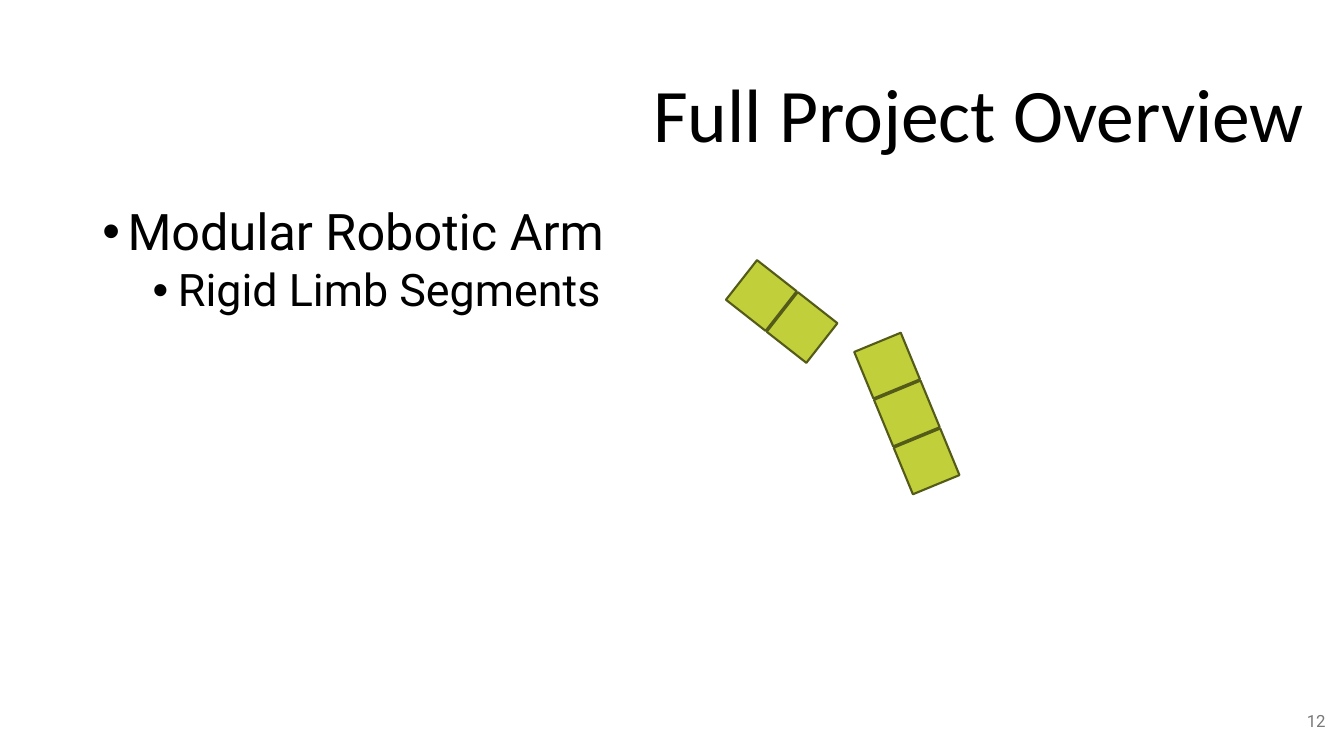
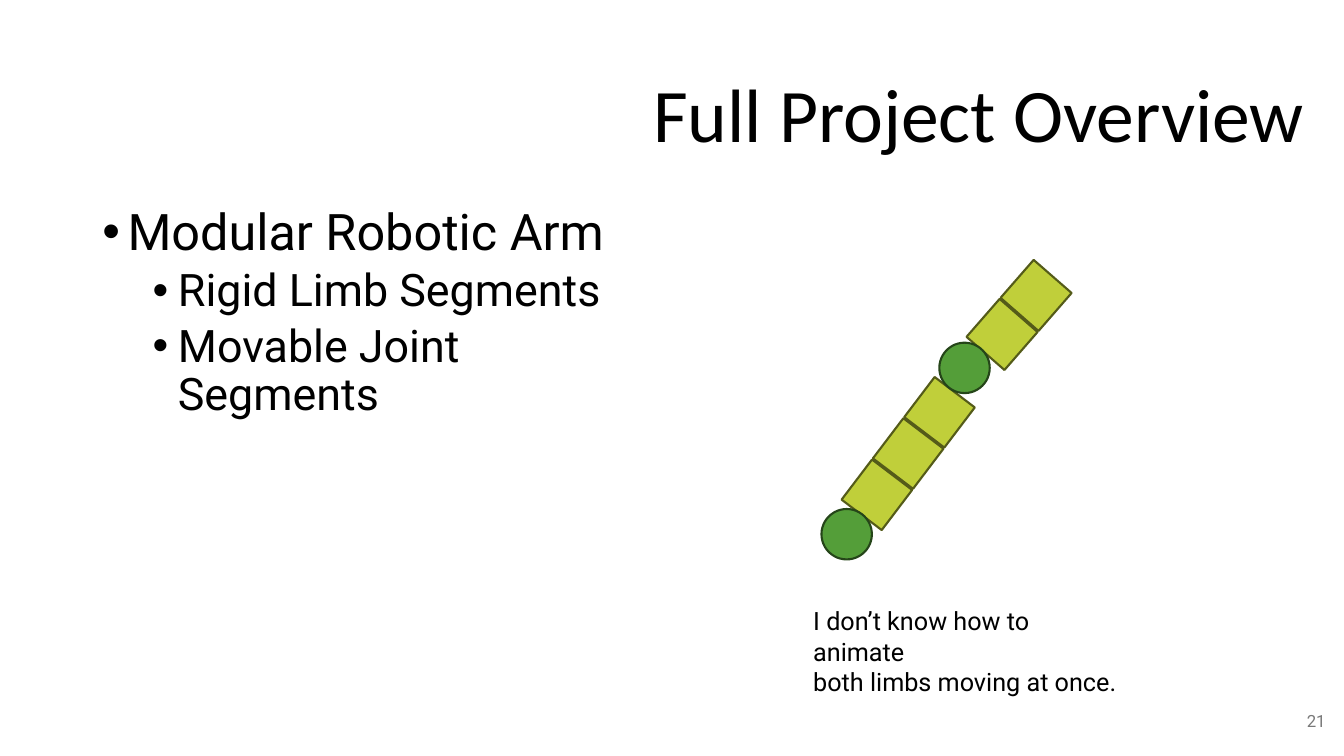
from math import cos, radians, sin

from lxml import etree
from pptx import Presentation
from pptx.dml.color import RGBColor
from pptx.enum.shapes import MSO_SHAPE
from pptx.enum.text import MSO_ANCHOR, PP_ALIGN
from pptx.oxml.ns import qn
from pptx.util import Pt

RECT, OVAL = MSO_SHAPE.RECTANGLE, MSO_SHAPE.OVAL
LEFT, RIGHT = PP_ALIGN.LEFT, PP_ALIGN.RIGHT
TOP, MIDDLE = MSO_ANCHOR.TOP, MSO_ANCHOR.MIDDLE

BLACK = RGBColor(0x00, 0x00, 0x00)
GRAY = RGBColor(0x79, 0x79, 0x79)
LIME = RGBColor(0xC0, 0xCF, 0x3A)
OLIVE = RGBColor(0x54, 0x5B, 0x19)
GREEN = RGBColor(0x54, 0x9E, 0x39)
DARK_GREEN = RGBColor(0x25, 0x45, 0x19)

TITLE = "Full Project Overview"
TITLE_BOX = (66, 32.4, 872.9, 104.4)
BODY_BOX = (66, 144, 408, 328.3)
NUMBER_BOX = (909.4, 500.4, 44.6, 28.8)
CAPTION_BOX = (573.8, 429.1, 233.3, 51.1)

# Per outline level: font size, left margin, space before
LEVELS = [(36, 18, 10), (32, 54, 5)]
HANGING = 18
SEGMENT = 36
PITCH = 37  # distance between segment centres along a limb

# bullets: (level, text); limbs: (centre x, centre y, angle, segments)
# joints: (centre x, centre y)
SLIDES = [
    dict(
        number="12",
        bullets=[(0, "Modular Robotic Arm"), (1, "Rigid Limb Segments")],
        limbs=[(647.8, 295.4, 337.6, 3), (558.4, 222.5, 308.1, 2)],
        joints=[],
        caption=[],
    ),
    dict(
        number="21",
        bullets=[(0, "Modular Robotic Arm"), (1, "Rigid Limb Segments"),
                 (1, "Movable Joint Segments")],
        limbs=[(648.7, 324, 37.2, 3), (727.9, 225, 41.1, 2)],
        joints=[(604.8, 381.6), (689, 262.8)],
        caption=["I don’t know how to animate", "both limbs moving at once."],
    ),
]


def add_bullet(p, margin):
    pPr = p._p.get_or_add_pPr()
    pPr.set("marL", str(Pt(margin)))
    pPr.set("indent", str(-Pt(HANGING)))
    etree.SubElement(pPr, qn("a:buFont"), typeface="Arial")
    etree.SubElement(pPr, qn("a:buChar"), char="•")


def add_text(s, box, lines, size=18, font="Roboto", color=BLACK, align=LEFT,
             anchor=TOP, spacing=None):
    """Add a text box; each line is a string or a (level, text) bullet."""
    tf = s.shapes.add_textbox(*map(Pt, box)).text_frame
    tf.word_wrap = True
    tf.vertical_anchor = anchor
    for i, line in enumerate(lines):
        p = tf.paragraphs[0] if i == 0 else tf.add_paragraph()
        p.alignment = align
        if spacing:
            p.line_spacing = spacing
        text, line_size = line, size
        if isinstance(line, tuple):
            level, text = line
            line_size, margin, before = LEVELS[level]
            p.level = level
            p.space_before = Pt(before if i else 0)
            add_bullet(p, margin)
        r = p.add_run()
        r.text = text
        r.font.name, r.font.size = font, Pt(line_size)
        r.font.color.rgb = color


def add_part(s, kind, cx, cy, fill, line, angle=0):
    """Add one arm part centred on (cx, cy)."""
    sp = s.shapes.add_shape(kind, Pt(cx - SEGMENT / 2), Pt(cy - SEGMENT / 2),
                            Pt(SEGMENT), Pt(SEGMENT))
    sp.rotation = angle
    sp.shadow.inherit = False
    sp.fill.solid()
    sp.fill.fore_color.rgb = fill
    sp.line.color.rgb = line
    sp.line.width = Pt(1.5)


def add_limb(s, cx, cy, angle, count):
    """Stack segments evenly about (cx, cy) along the rotated vertical axis."""
    a = radians(angle)
    for i in range(count):
        d = (i - (count - 1) / 2) * PITCH
        add_part(s, RECT, cx + d * sin(a), cy - d * cos(a), LIME, OLIVE, angle)


def add_overview(prs, number, bullets, limbs, joints, caption):
    s = prs.slides.add_slide(prs.slide_layouts[6])
    add_text(s, TITLE_BOX, [TITLE], size=54, font="Calibri", align=RIGHT,
             anchor=MIDDLE, spacing=0.9)
    add_text(s, BODY_BOX, bullets, spacing=0.9)
    add_text(s, NUMBER_BOX, [number], size=12, color=GRAY, align=RIGHT,
             anchor=MIDDLE)
    for limb in limbs:
        add_limb(s, *limb)
    for cx, cy in joints:
        add_part(s, OVAL, cx, cy, GREEN, DARK_GREEN)
    if caption:
        add_text(s, CAPTION_BOX, caption)


def main():
    prs = Presentation()
    prs.slide_width, prs.slide_height = Pt(960), Pt(540)
    for content in SLIDES:
        add_overview(prs, **content)
    prs.save("out.pptx")


if __name__ == "__main__":
    main()
